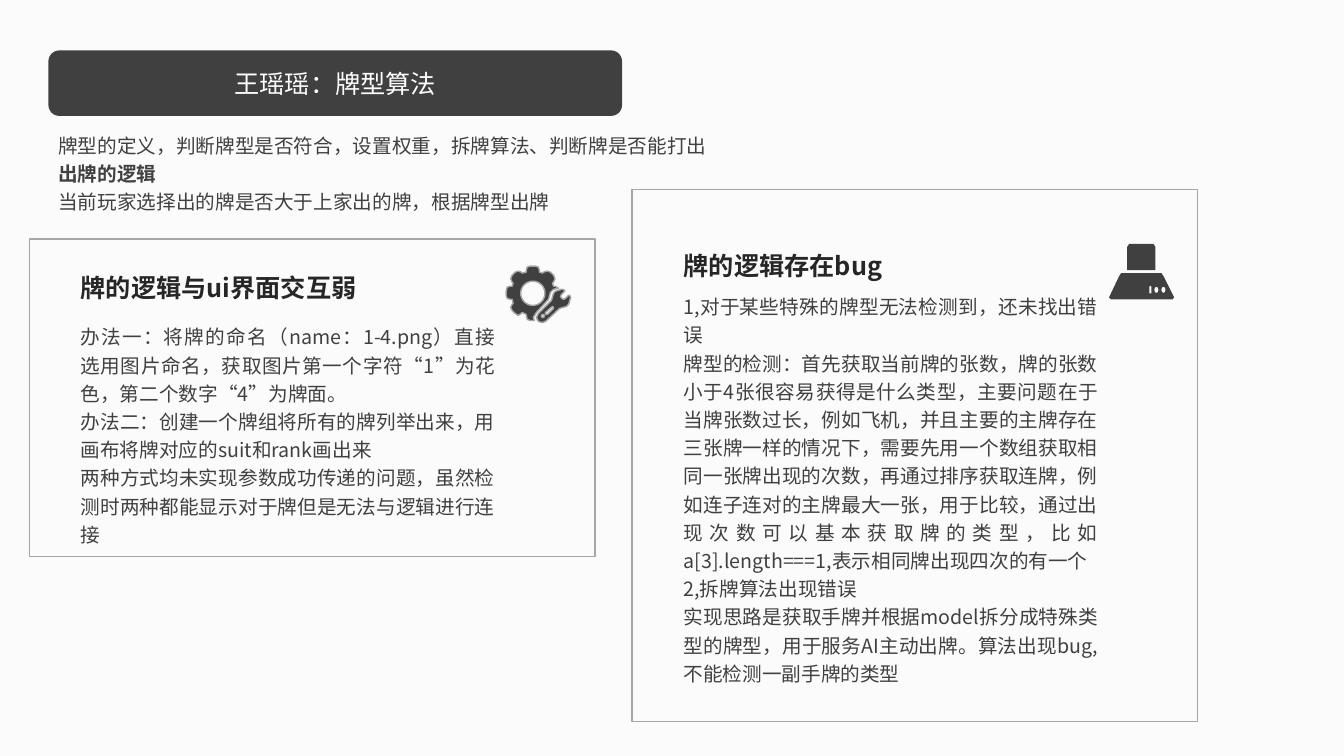
from math import cos, pi, sin

from lxml.etree import SubElement
from pptx import Presentation
from pptx.dml.color import RGBColor
from pptx.enum.shapes import MSO_SHAPE as Shape
from pptx.enum.text import MSO_ANCHOR as Anchor, MSO_AUTO_SIZE as AutoSize, PP_ALIGN as Align
from pptx.oxml.ns import qn
from pptx.util import Inches, Pt

FONT = "Noto Sans CJK SC"
PAPER = RGBColor(0xFB, 0xFB, 0xFB)
WHITE = RGBColor(0xFF, 0xFF, 0xFF)
DARK = RGBColor(0x40, 0x40, 0x40)
INK = RGBColor(0x26, 0x26, 0x26)
BORDER = RGBColor(0xA6, 0xA6, 0xA6)

PANEL_WIDTH = 5.61
MARGIN = 0.41
TEXT_WIDTH = 4.31
HEADING_WIDTH = 3.74
HEADING_HEIGHT = 0.46
ICON_LEFT = 4.73


def ring(cx, cy, rx, ry, steps=32):
    return [(cx + rx * cos(2 * pi * i / steps), cy - ry * sin(2 * pi * i / steps))
            for i in range(steps)]


GEAR_AND_WRENCH = [
    [(24, 0), (29, 0), (32, 1), (33, 4), (33, 6), (36, 7), (37, 6), (41, 5), (44, 6),
     (47, 9), (48.5, 12.5), (47, 16), (46, 17), (47, 20), (49, 20), (52, 22), (47, 23),
     (44, 26), (42, 33), (30, 46), (27, 51), (28, 54), (24, 54), (21, 53), (20, 49),
     (20, 48), (16, 46), (15, 47), (12, 49), (9, 47), (6, 44), (4.5, 41), (6, 38),
     (7, 37), (6, 33), (4, 33), (1, 32), (0, 29), (0, 25), (1, 21), (4, 20), (6, 20),
     (7, 17), (6, 16), (4.5, 12.5), (6, 9), (9, 6), (12, 5), (15, 6), (16, 7), (20, 6),
     (20, 4), (21, 1)],
    [(56, 23), (58, 24), (58, 25), (55, 28), (54, 30), (55, 32), (57, 33), (59, 32),
     (62, 29), (63, 29), (64, 31), (62, 38), (60, 40), (53, 42), (39, 55), (36, 56),
     (32, 55), (30, 51), (32, 47), (45, 34), (47, 27), (49, 25), (55, 23)],
    [(46, 40), (39, 46), (39, 48), (41, 48), (47, 42), (47, 41)],
    ring(26.5, 27, 12, 12),
    ring(36.5, 49.5, 1.5, 1.5),
]
DEVICE = [
    [(20, 0), (44, 0), (46, 3), (46, 26), (18, 26), (18, 3)],
    [(12, 29), (52, 29), (54, 32), (64.5, 53), (63, 55), (2, 55), (0, 53), (10, 32)],
    [(40, 42), (40, 49), (42, 49), (42, 42)],
    ring(47, 45.5, 2, 3),
    ring(54, 45.5, 2, 3),
]


def place(shape, left, top, width, height):
    shape.left, shape.top = Inches(left), Inches(top)
    shape.width, shape.height = Inches(width), Inches(height)


def write(shape, lines, size, color, align, anchor=Anchor.TOP, spacing=1.2):
    frame = shape.text_frame
    frame.word_wrap = True
    frame.auto_size = AutoSize.NONE
    frame.vertical_anchor = anchor
    for number, (text, bold) in enumerate(lines):
        paragraph = frame.add_paragraph() if number else frame.paragraphs[0]
        properties = paragraph._p.get_or_add_pPr()
        properties.set("marL", "0")
        properties.set("indent", "0")
        SubElement(properties, qn("a:buNone"))
        paragraph.alignment = align
        paragraph.line_spacing = spacing
        paragraph.space_before = Pt(0)
        run = paragraph.add_run()
        run.text = text
        font = run.font
        font.size, font.bold, font.name = Pt(size), bold, FONT
        font.color.rgb = color
        SubElement(run._r.get_or_add_rPr(), qn("a:ea")).set("typeface", FONT)


def draw_icon(slide, contours, left, top, outlined):
    first, *rest = [[(x * 10, y * 10) for x, y in contour] for contour in contours]
    builder = slide.shapes.build_freeform(*first[0], scale=914.4)
    builder.add_line_segments(first[1:], close=True)
    for contour in rest:
        builder.move_to(*contour[0])
        builder.add_line_segments(contour[1:], close=True)
    icon = builder.convert_to_shape(Inches(left), Inches(top))
    icon.shadow.inherit = False
    icon.fill.solid()
    icon.fill.fore_color.rgb = DARK
    if outlined:
        icon.line.color.rgb = BORDER
        icon.line.width = Pt(1)
    else:
        icon.line.fill.background()


def build_banner(slide, left, top, width, height, text):
    banner = slide.shapes.add_shape(Shape.ROUNDED_RECTANGLE, 0, 0, 0, 0)
    slide.shapes._spTree.insert(2, banner._element)
    banner.shadow.inherit = False
    banner.fill.solid()
    banner.fill.fore_color.rgb = DARK
    banner.line.fill.background()
    title = slide.shapes.title
    for part in (banner, title):
        place(part, left, top, width, height)
    write(title, [(text, False)], 18, WHITE, Align.CENTER, Anchor.MIDDLE, 1)


def build_intro(slide, left, top, width, height, lines):
    intro = slide.shapes.add_textbox(0, 0, 0, 0)
    place(intro, left, top, width, height)
    write(intro, lines, 14, DARK, Align.LEFT)


def build_panel(slide, left, top, height, first_slot, heading_drop, body_drop,
                heading, lines, contours, outlined):
    frame = slide.shapes.add_shape(Shape.RECTANGLE, 0, 0, 0, 0)
    place(frame, left, top, PANEL_WIDTH, height)
    frame.shadow.inherit = False
    frame.fill.background()
    frame.line.color.rgb = BORDER
    frame.line.width = Pt(1)
    draw_icon(slide, contours, left + ICON_LEFT, top + heading_drop + 0.05, outlined)
    heading_slot = slide.placeholders[first_slot]
    place(heading_slot, left + MARGIN, top + heading_drop, HEADING_WIDTH, HEADING_HEIGHT)
    write(heading_slot, [(heading, True)], 18, INK, Align.JUSTIFY)
    body = slide.placeholders[first_slot + 1]
    place(body, left + MARGIN, top + body_drop, TEXT_WIDTH, height - body_drop)
    write(body, [(line, False) for line in lines], 14, DARK, Align.JUSTIFY)


def main():
    deck = Presentation()
    deck.slide_width, deck.slide_height = Inches(13.33), Inches(7.5)
    slide = deck.slides.add_slide(deck.slide_layouts.get_by_name("Comparison"))
    slide.background.fill.solid()
    slide.background.fill.fore_color.rgb = PAPER

    build_banner(slide, 0.48, 0.5, 5.69, 0.65, "王瑶瑶：牌型算法")
    build_intro(slide, 0.48, 1.23, 6.89, 0.95, [
        ("牌型的定义，判断牌型是否符合，设置权重，拆牌算法、判断牌是否能打出", False),
        ("出牌的逻辑", True),
        ("当前玩家选择出的牌是否大于上家出的牌，根据牌型出牌", False),
    ])
    build_panel(slide, 0.29, 2.37, 3.15, 1, 0.22, 0.76, "牌的逻辑与ui界面交互弱", [
        "办法一：将牌的命名（name：1-4.png）直接选用图片命名，获取图片第一个字符“1”为花色，"
        "第二个数字“4”为牌面。",
        "办法二：创建一个牌组将所有的牌列举出来，用画布将牌对应的suit和rank画出来",
        "两种方式均未实现参数成功传递的问题，虽然检测时两种都能显示对于牌但是无法与逻辑进行连接",
    ], GEAR_AND_WRENCH, True)
    build_panel(slide, 6.27, 1.88, 5.28, 3, 0.49, 0.95, "牌的逻辑存在bug", [
        "1,对于某些特殊的牌型无法检测到，还未找出错误",
        "牌型的检测：首先获取当前牌的张数，牌的张数小于4张很容易获得是什么类型，"
        "主要问题在于当牌张数过长，例如飞机，并且主要的主牌存在三张牌一样的情况下，"
        "需要先用一个数组获取相同一张牌出现的次数，再通过排序获取连牌，"
        "例如连子连对的主牌最大一张，用于比较，通过出现次数可以基本获取牌的类型，"
        "比如a[3].length===1,表示相同牌出现四次的有一个",
        "2,拆牌算法出现错误",
        "实现思路是获取手牌并根据model拆分成特殊类型的牌型，用于服务AI主动出牌。"
        "算法出现bug,不能检测一副手牌的类型",
    ], DEVICE, False)
    deck.save("out.pptx")


if __name__ == "__main__":
    main()
